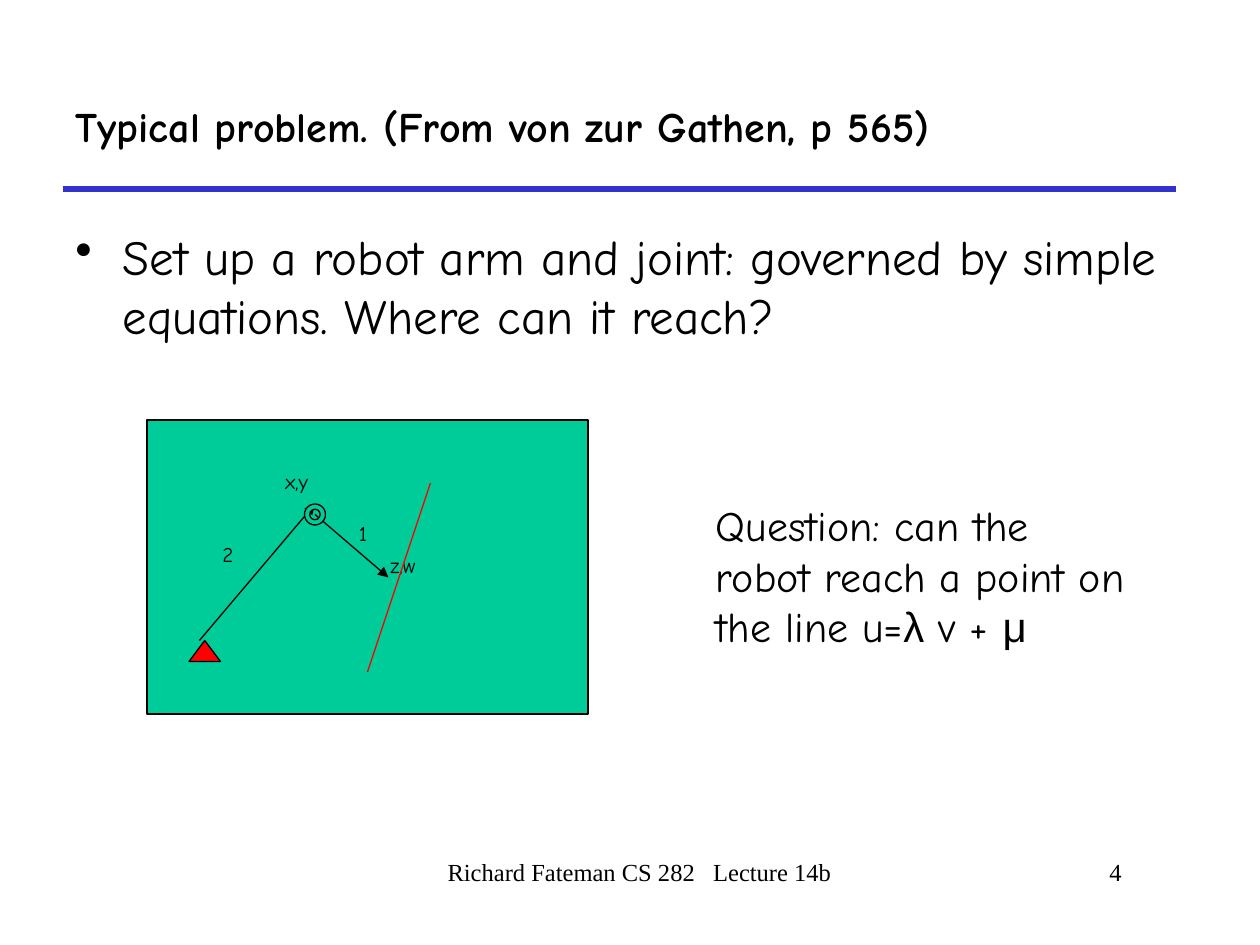
"""Build the robot arm problem slide."""

from dataclasses import dataclass

from lxml.etree import SubElement
from pptx import Presentation
from pptx.dml.color import RGBColor
from pptx.enum.shapes import MSO_CONNECTOR, MSO_SHAPE
from pptx.enum.text import MSO_ANCHOR, MSO_AUTO_SIZE, PP_ALIGN
from pptx.oxml.ns import qn
from pptx.slide import Slide
from pptx.text.text import TextFrame
from pptx.util import Pt


@dataclass(frozen=True)
class Theme:
    """Hold the colours, fonts and type sizes."""

    ink: RGBColor = RGBColor(0x00, 0x00, 0x00)
    rule: RGBColor = RGBColor(0x33, 0x33, 0xCC)
    floor: RGBColor = RGBColor(0x00, 0xCC, 0x99)
    red: RGBColor = RGBColor(0xFF, 0x00, 0x00)
    main_font: str = "Comic Neue"
    greek_font: str = "Arial"
    footer_font: str = "Times New Roman"
    heading_size: float = 24
    body_size: float = 28
    label_size: float = 12
    footer_size: float = 14
    thin: float = 0.75
    thick: float = 3


THEME = Theme()


@dataclass(frozen=True)
class Box:
    """Describe a rectangle in points."""

    left: float
    top: float
    width: float
    height: float

    def lengths(self) -> tuple[Pt, Pt, Pt, Pt]:
        """Return the four lengths for a python-pptx call."""
        return Pt(self.left), Pt(self.top), Pt(self.width), Pt(self.height)


@dataclass(frozen=True)
class Caption:
    """Describe a text box and its runs."""

    box: Box
    pieces: tuple[str, ...]
    size: float = THEME.label_size
    font: str = THEME.main_font
    space_before: float = 7.5
    align: PP_ALIGN = PP_ALIGN.LEFT
    margin: float = 0
    indent: float = 0
    bullet: str = ""


@dataclass(frozen=True)
class Figure:
    """Describe a filled preset shape."""

    preset: MSO_SHAPE
    box: Box
    fill: RGBColor


@dataclass(frozen=True)
class Segment:
    """Describe a straight line in points."""

    start: tuple[float, float]
    end: tuple[float, float]
    color: RGBColor = THEME.ink
    width: float = THEME.thin
    arrow: bool = False


TITLE = "Typical problem. (From von zur Gathen, p 565)"
TITLE_BOX = Box(36, 36, 636, 72)
TITLE_RULE = Segment((36, 108), (672, 108), THEME.rule, THEME.thick)
FLOOR = Figure(MSO_SHAPE.RECTANGLE, Box(84, 240, 252, 168), THEME.floor)
ARMS = (
    Segment((114, 366), (180, 288), arrow=True),
    Segment((180, 294), (222, 330), arrow=True),
)
JOINTS = (
    Figure(MSO_SHAPE.DONUT, Box(174, 288, 12, 12), THEME.floor),
    Figure(MSO_SHAPE.ISOSCELES_TRIANGLE, Box(108, 366, 18, 12), THEME.red),
)
TARGET_LINE = Segment((246, 276), (210, 384), THEME.red)
CAPTIONS = (
    Caption(
        Box(36, 126, 654, 348),
        ("Set up a robot arm and joint: governed by simple equations. Where can it reach?",),
        THEME.body_size, space_before=7, margin=27, indent=-27, bullet="•",
    ),
    Caption(Box(198, 294, 24, 21.6), ("1",)),
    Caption(Box(120, 306, 42, 21.6), ("2",)),
    Caption(Box(156, 264, 66, 21.6), ("x,y",)),
    Caption(Box(216, 312, 66, 21.6), ("z,w",)),
    Caption(
        Box(402, 282, 252, 93.6),
        ("Question: can the robot reach a point on the line u=", "λ", " v + ", "μ"),
        THEME.heading_size, space_before=15,
    ),
    Caption(
        Box(222, 486, 270, 36), ("Richard Fateman CS 282   Lecture 14b",),
        THEME.footer_size, THEME.footer_font, 0, PP_ALIGN.CENTER, 17,
    ),
    Caption(
        Box(498, 486, 150, 36), ("4",),
        THEME.footer_size, THEME.footer_font, 0, PP_ALIGN.RIGHT, 17,
    ),
)


def format_runs(frame: TextFrame, size: float, font: str, bold: bool = False) -> None:
    """Apply type to every run, with the Greek font for Greek letters."""
    for run in frame.paragraphs[0].runs:
        run.font.name = THEME.greek_font if run.text in ("λ", "μ") else font
        run.font.size = Pt(size)
        run.font.bold = bold
        run.font.color.rgb = THEME.ink


def draw_title(slide: Slide) -> None:
    """Place and format the title placeholder."""
    title = slide.shapes.title
    title.left, title.top, title.width, title.height = TITLE_BOX.lengths()
    frame = title.text_frame
    frame.text = TITLE
    frame.auto_size = MSO_AUTO_SIZE.NONE
    frame.vertical_anchor = MSO_ANCHOR.MIDDLE
    frame.paragraphs[0].alignment = PP_ALIGN.LEFT
    format_runs(frame, THEME.heading_size, THEME.main_font, bold=True)


def draw_caption(slide: Slide, caption: Caption) -> None:
    """Draw a wrapped text box."""
    frame = slide.shapes.add_textbox(*caption.box.lengths()).text_frame
    frame.word_wrap = True
    paragraph = frame.paragraphs[0]
    paragraph.text = caption.pieces[0]
    for piece in caption.pieces[1:]:
        paragraph.add_run().text = piece
    paragraph.alignment = caption.align
    paragraph.space_before = Pt(caption.space_before)
    properties = paragraph._p.get_or_add_pPr()
    properties.set("marL", str(Pt(caption.margin)))
    properties.set("indent", str(Pt(caption.indent)))
    if caption.bullet:
        SubElement(properties, qn("a:buChar")).set("char", caption.bullet)
    format_runs(frame, caption.size, caption.font)


def draw_figure(slide: Slide, figure: Figure) -> None:
    """Draw a filled shape with a thin outline."""
    shape = slide.shapes.add_shape(figure.preset, *figure.box.lengths())
    shape.shadow.inherit = False
    shape.fill.solid()
    shape.fill.fore_color.rgb = figure.fill
    shape.line.color.rgb = THEME.ink
    shape.line.width = Pt(THEME.thin)


def draw_segment(slide: Slide, segment: Segment) -> None:
    """Draw a straight line, with an arrowhead at its end if asked."""
    ends = (Pt(length) for length in (*segment.start, *segment.end))
    connector = slide.shapes.add_connector(MSO_CONNECTOR.STRAIGHT, *ends)
    connector.line.color.rgb = segment.color
    connector.line.width = Pt(segment.width)
    if segment.arrow:
        SubElement(connector.line._get_or_add_ln(), qn("a:tailEnd")).set("type", "triangle")
    SubElement(connector._element.spPr, qn("a:effectLst"))


def main() -> None:
    """Build and save the slide."""
    deck = Presentation()
    deck.slide_width, deck.slide_height = Pt(720), Pt(540)
    slide = deck.slides.add_slide(deck.slide_layouts[5])
    draw_title(slide)
    draw_segment(slide, TITLE_RULE)
    draw_figure(slide, FLOOR)
    for arm in ARMS:
        draw_segment(slide, arm)
    for joint in JOINTS:
        draw_figure(slide, joint)
    for caption in CAPTIONS:
        draw_caption(slide, caption)
    draw_segment(slide, TARGET_LINE)
    deck.save("out.pptx")


if __name__ == "__main__":
    main()
